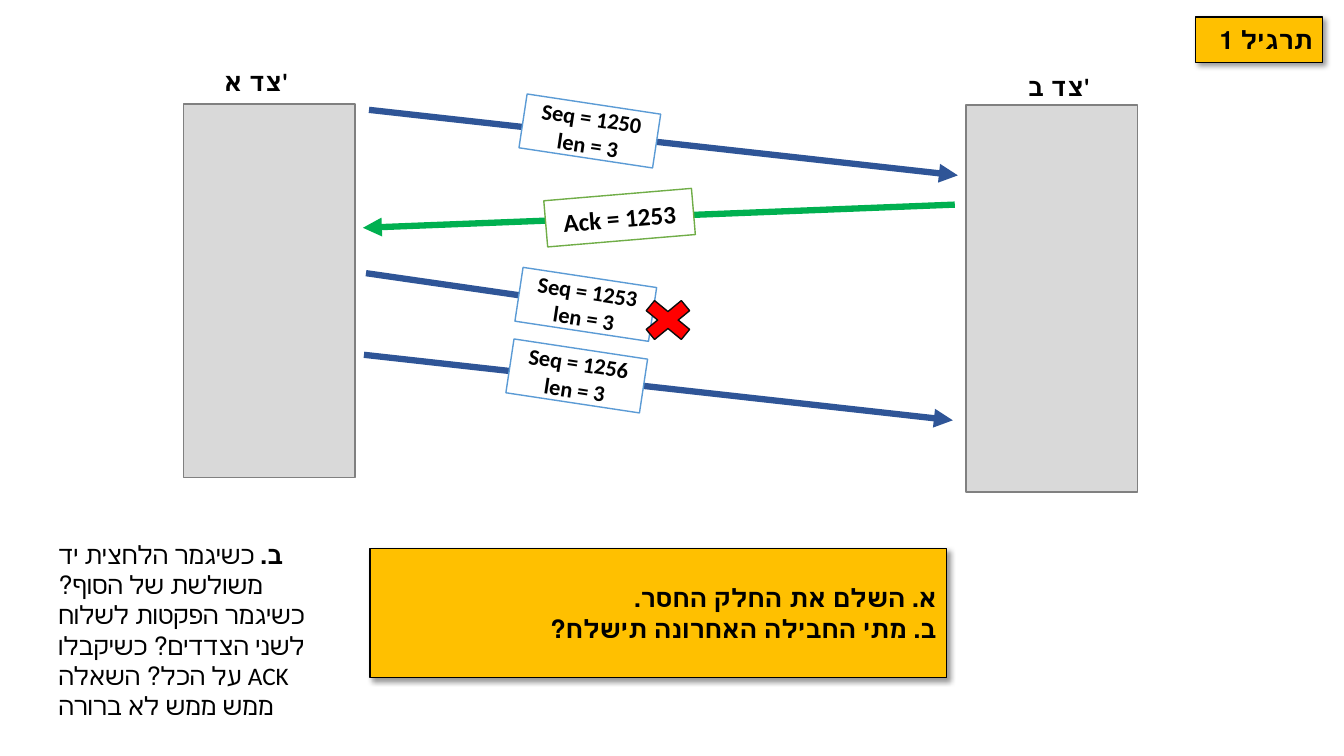
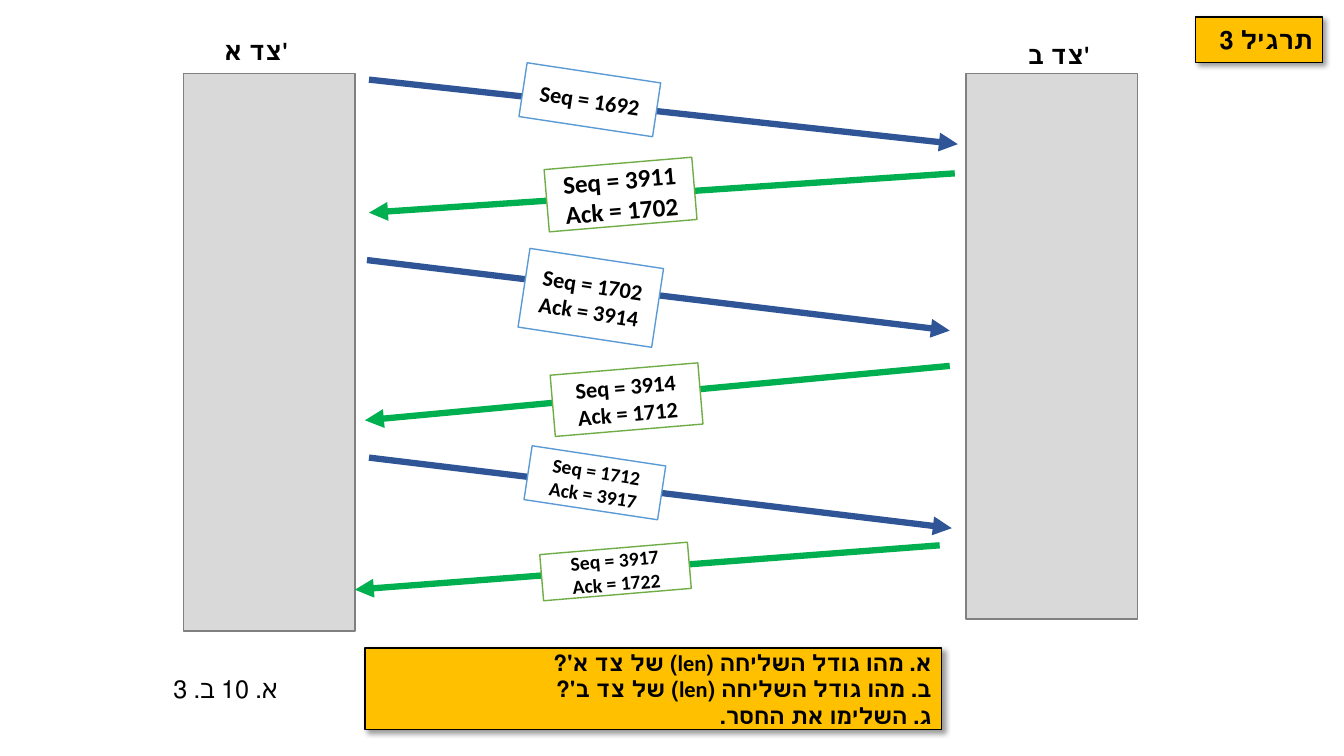
"""Build two exercise slides on sequence and acknowledgement numbers."""
from lxml import etree
from pptx import Presentation
from pptx.dml.color import RGBColor
from pptx.enum.shapes import MSO_CONNECTOR, MSO_SHAPE
from pptx.enum.text import MSO_ANCHOR, MSO_AUTO_SIZE, PP_ALIGN
from pptx.oxml.ns import qn
from pptx.util import Emu, Pt

RECTANGLE = MSO_SHAPE.RECTANGLE
CROSS = MSO_SHAPE.MATH_MULTIPLY
STRAIGHT = MSO_CONNECTOR.STRAIGHT
CENTER, RIGHT = PP_ALIGN.CENTER, PP_ALIGN.RIGHT
MIDDLE, TOP = MSO_ANCHOR.MIDDLE, MSO_ANCHOR.TOP
FIT_SHAPE = MSO_AUTO_SIZE.SHAPE_TO_FIT_TEXT

EMU_PER_PX = 9144
SLIDE_WIDTH, SLIDE_HEIGHT = 1333, 750
FONT = "Calibri"
COLORS = {
    "black": "000000", "white": "FFFFFF", "column": "D9D9D9", "column_line": "808080",
    "send": "2F5597", "send_line": "5B9BD5", "reply": "00B050", "reply_line": "70AD47",
    "banner": "FFC000", "cross": "FF0000", "cross_line": "0D0D0D",
}
MESSAGE_STYLES = {
    "send": {"width": 134, "rotation": 8.6},
    "reply": {"width": 147, "rotation": 355.2},
}
SIDES = [
    {"name": "צד א'", "left": 182, "name_left": 176, "name_rise": 41},
    {"name": "צד ב'", "left": 958, "name_left": 972, "name_rise": 37},
]
COLUMN_WIDTH = 170
NAME_SIZE = (156, 37)
TITLE_BOX = (1186, 17, 126, 45)
QUESTION_WIDTH = 572

EXERCISES = [
    {
        "title": "תרגיל 1",
        "columns": [(103, 371), (104, 384)],
        "messages": [
            ("send", (366, 109), (950, 174), (518, 103, 54), ["Seq = 1250\nlen = 3"], 16),
            ("reply", (947, 203), (360, 226), (541, 193, 46), ["Ack = 1253"], 18),
            ("send", (363, 271), (647, 312), (514, 275, 54), ["Seq = 1253\nlen = 3"], 16),
            ("send", (361, 352), (945, 417), (505, 346, 54), ["Seq = 1256\nlen = 3"], 16),
        ],
        "crosses": [(629, 290, 67, 55)],
        "question_box": (367, 544, QUESTION_WIDTH, 128),
        "questions": ["א. השלם את החלק החסר.", "ב. מתי החבילה האחרונה תישלח?"],
        "question_size": 18,
        "answer_box": (48, 530, 284, 192),
        "answer": [("ב.", True), (
            " כשיגמר הלחצית יד משולשת של הסוף? כשיגמר הפקטות לשלוח לשני הצדדים? "
            "כשיקבלו ACK על הכל? השאלה ממש ממש לא ברורה", False)],
    },
    {
        "title": "תרגיל 3",
        "columns": [(73, 553), (73, 541)],
        "messages": [
            ("send", (366, 79), (950, 143), (518, 72, 54), ["Seq = 1692"], 16),
            ("reply", (947, 172), (366, 211), (542, 162, 62), ["Seq = 3911", "Ack = 1702"], 18),
            ("send", (364, 258), (942, 328), (519, 256, 79), ["Seq = 1702", "Ack = 3914"], 16),
            ("reply", (942, 363), (362, 417), (548, 366, 61), ["Seq = 3914\nAck = 1712"], 16),
            ("send", (366, 454), (944, 524), (523, 452, 54), ["Seq = 1712\nAck = 3917"], 14),
            ("reply", (932, 541), (352, 585), (537, 544, 46), ["Seq = 3917\nAck = 1722"], 14),
        ],
        "crosses": [],
        "question_box": (362, 643, QUESTION_WIDTH, 81),
        "questions": [
            "א. מהו גודל השליחה (len) של צד א'?",
            "ב. מהו גודל השליחה (len) של צד ב'?",
            "ג. השלימו את החסר.",
        ],
        "question_size": 16,
        "answer_box": (162, 663, 151, 40),
        "answer": [("א. 10 ב. 3", False)],
    },
]


def px(*lengths):
    return [Emu(round(length * EMU_PER_PX)) for length in lengths]


def color(name):
    return RGBColor.from_string(COLORS[name])


def write_text(shape, paragraphs, size=18, align=CENTER, anchor=MIDDLE, rtl=False):
    frame = shape.text_frame
    frame.word_wrap = True
    frame.vertical_anchor = anchor
    for index, runs in enumerate(paragraphs):
        paragraph = frame.add_paragraph() if index else frame.paragraphs[0]
        paragraph.alignment = align
        if rtl:
            paragraph._p.get_or_add_pPr().set("rtl", "1")
        for text, bold in runs:
            for line_index, line in enumerate(text.split("\n")):
                if line_index:
                    paragraph.add_line_break()
                run = paragraph.add_run()
                run.text = line
                run.font.size, run.font.bold, run.font.name = Pt(size), bold, FONT
                run.font.color.rgb = color("black")


def bold_lines(lines):
    return [[(line, True)] for line in lines]


def add_box(slide, box, fill, line=None, kind=RECTANGLE):
    shape = slide.shapes.add_shape(kind, *px(*box))
    shape.shadow.inherit = False
    shape.fill.solid()
    shape.fill.fore_color.rgb = color(fill)
    if line:
        shape.line.color.rgb = color(line)
        shape.line.width = Pt(1)
    else:
        shape.line.fill.background()
    return shape


def add_banner(slide, box, lines, size=18):
    banner = add_box(slide, box, "banner", "black")
    effects = banner.element.spPr.find(qn("a:effectLst"))
    shadow = etree.SubElement(
        effects, qn("a:outerShdw"), blurRad=str(Pt(4)), dist=str(Pt(3)),
        dir=str(45 * 60000), algn="tl", rotWithShape="0")
    shade = etree.SubElement(shadow, qn("a:srgbClr"), val=COLORS["black"])
    etree.SubElement(shade, qn("a:alpha"), val="40000")
    write_text(banner, bold_lines(lines), size, RIGHT, rtl=True)


def add_side(slide, side, top, height):
    name_box = (side["name_left"], top - side["name_rise"], *NAME_SIZE)
    write_text(add_box(slide, name_box, "white"), bold_lines([side["name"]]))
    add_box(slide, (side["left"], top, COLUMN_WIDTH, height), "column", "column_line")


def add_message(slide, kind, start, end, label, lines, size):
    arrow = slide.shapes.add_connector(STRAIGHT, *px(*start, *end))
    arrow.line.color.rgb = color(kind)
    arrow.line.width = Pt(4.5)
    properties = arrow.element.spPr
    etree.SubElement(properties.find(qn("a:ln")), qn("a:tailEnd"), type="triangle")
    etree.SubElement(properties, qn("a:effectLst"))
    left, top, height = label
    style = MESSAGE_STYLES[kind]
    box = add_box(slide, (left, top, style["width"], height), "white", kind + "_line")
    box.rotation = style["rotation"]
    write_text(box, bold_lines(lines), size)


def add_answer(slide, box, runs):
    answer = slide.shapes.add_textbox(*px(*box))
    write_text(answer, [runs], align=None, anchor=TOP, rtl=True)
    answer.text_frame.auto_size = FIT_SHAPE


def build_slide(presentation, exercise):
    slide = presentation.slides.add_slide(presentation.slide_layouts[6])
    for side, (top, height) in zip(SIDES, exercise["columns"]):
        add_side(slide, side, top, height)
    for message in exercise["messages"]:
        add_message(slide, *message)
    for box in exercise["crosses"]:
        add_box(slide, box, "cross", "cross_line", CROSS)
    add_banner(slide, exercise["question_box"], exercise["questions"], exercise["question_size"])
    add_banner(slide, TITLE_BOX, [exercise["title"]])
    add_answer(slide, exercise["answer_box"], exercise["answer"])


def main():
    presentation = Presentation()
    presentation.slide_width, presentation.slide_height = px(SLIDE_WIDTH, SLIDE_HEIGHT)
    for exercise in EXERCISES:
        build_slide(presentation, exercise)
    presentation.save("out.pptx")


if __name__ == "__main__":
    main()
